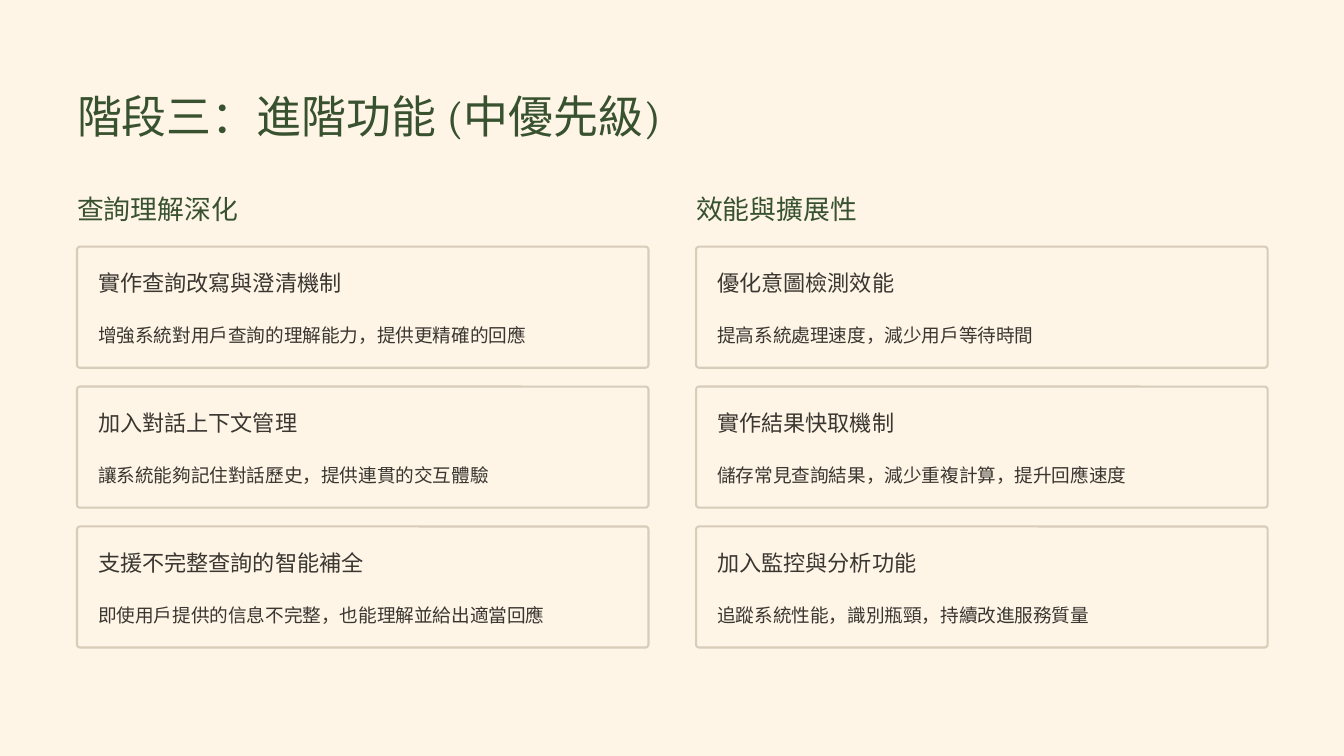
from dataclasses import dataclass

from pptx import Presentation
from pptx.dml.color import RGBColor
from pptx.enum.shapes import MSO_SHAPE
from pptx.enum.text import MSO_ANCHOR, MSO_AUTO_SIZE, PP_ALIGN
from pptx.util import Cm, Pt

ROUNDED = MSO_SHAPE.ROUNDED_RECTANGLE
TOP = MSO_ANCHOR.TOP
NO_FIT = MSO_AUTO_SIZE.NONE
LEFT = PP_ALIGN.LEFT
TITLE_ONLY = 5


@dataclass(frozen=True)
class TextStyle:
    font: str
    size: float
    leading: float
    color: RGBColor


@dataclass(frozen=True)
class Theme:
    background: RGBColor
    border: RGBColor
    title: TextStyle
    heading: TextStyle
    card_title: TextStyle
    card_body: TextStyle


GREEN = RGBColor(0x38, 0x51, 0x2F)
INK = RGBColor(0x3A, 0x36, 0x30)
THEME = Theme(
    background=RGBColor(0xFE, 0xF5, 0xE7),
    border=RGBColor(0xD9, 0xCD, 0xBA),
    title=TextStyle("Cambria", 38.5, 48.5, GREEN),
    heading=TextStyle("Cambria", 23, 29, GREEN),
    card_title=TextStyle("Cambria", 19, 24, INK),
    card_body=TextStyle("Roboto", 16, 26, INK),
)

TITLE = "階段三：進階功能 (中優先級)"
COLUMNS = [
    ("查詢理解深化", [
        ("實作查詢改寫與澄清機制", "增強系統對用戶查詢的理解能力，提供更精確的回應"),
        ("加入對話上下文管理", "讓系統能夠記住對話歷史，提供連貫的交互體驗"),
        ("支援不完整查詢的智能補全", "即使用戶提供的信息不完整，也能理解並給出適當回應"),
    ]),
    ("效能與擴展性", [
        ("優化意圖檢測效能", "提高系統處理速度，減少用戶等待時間"),
        ("實作結果快取機制", "儲存常見查詢結果，減少重複計算，提升回應速度"),
        ("加入監控與分析功能", "追蹤系統性能，識別瓶頸，持續改進服務質量"),
    ]),
]

MARGIN = Cm(2.33)
TITLE_WIDTH = Cm(20)
COLUMN_TOP = Cm(5.77)
COLUMN_WIDTH = Cm(17.28)
COLUMN_PITCH = Cm(18.72)
CARDS_OFFSET = Cm(1.69)
CARD_HEIGHT = Cm(3.66)
CARD_PITCH = Cm(4.23)
CARD_PADDING = Cm(0.64)
CARD_BODY_OFFSET = Cm(2.09)


def write_text(shape, text, style):
    frame = shape.text_frame
    frame.margin_left = frame.margin_top = 0
    frame.margin_right = frame.margin_bottom = 0
    frame.word_wrap = False
    frame.auto_size = NO_FIT
    frame.vertical_anchor = TOP
    frame.text = text
    para = frame.paragraphs[0]
    para.alignment = LEFT
    para.line_spacing = Pt(style.leading)
    para.space_before = Pt(0)
    para.font.name = style.font
    para.font.size = Pt(style.size)
    para.font.color.rgb = style.color


def add_text(page, left, top, width, text, style):
    box = page.shapes.add_textbox(left, top, width, Pt(style.leading))
    write_text(box, text, style)


def place_title(page, left, top, width, height):
    title = page.shapes.title
    title.left, title.top, title.width, title.height = left, top, width, height
    write_text(title, TITLE, THEME.title)


def add_card(page, left, top, width, height, title, body):
    card = page.shapes.add_shape(ROUNDED, left, top, width, height)
    card.adjustments[0] = 0.024
    card.shadow.inherit = False
    card.fill.background()
    card.line.color.rgb = THEME.border
    card.line.width = Pt(1.8)
    inner_left = left + CARD_PADDING
    inner_width = width - 2 * CARD_PADDING
    add_text(page, inner_left, top + CARD_PADDING, inner_width, title, THEME.card_title)
    add_text(page, inner_left, top + CARD_BODY_OFFSET, inner_width, body, THEME.card_body)


def add_column(page, left, top, width, heading, cards):
    add_text(page, left, top, width, heading, THEME.heading)
    for row, (title, body) in enumerate(cards):
        card_top = top + CARDS_OFFSET + row * CARD_PITCH
        add_card(page, left, card_top, width, CARD_HEIGHT, title, body)


def main():
    deck = Presentation()
    deck.slide_width, deck.slide_height = Cm(40.64), Cm(22.86)
    page = deck.slides.add_slide(deck.slide_layouts[TITLE_ONLY])
    page.background.fill.solid()
    page.background.fill.fore_color.rgb = THEME.background
    place_title(page, MARGIN, Cm(2.6), TITLE_WIDTH, Cm(1.7))
    for index, (heading, cards) in enumerate(COLUMNS):
        left = MARGIN + index * COLUMN_PITCH
        add_column(page, left, COLUMN_TOP, COLUMN_WIDTH, heading, cards)
    deck.save("out.pptx")


if __name__ == "__main__":
    main()
